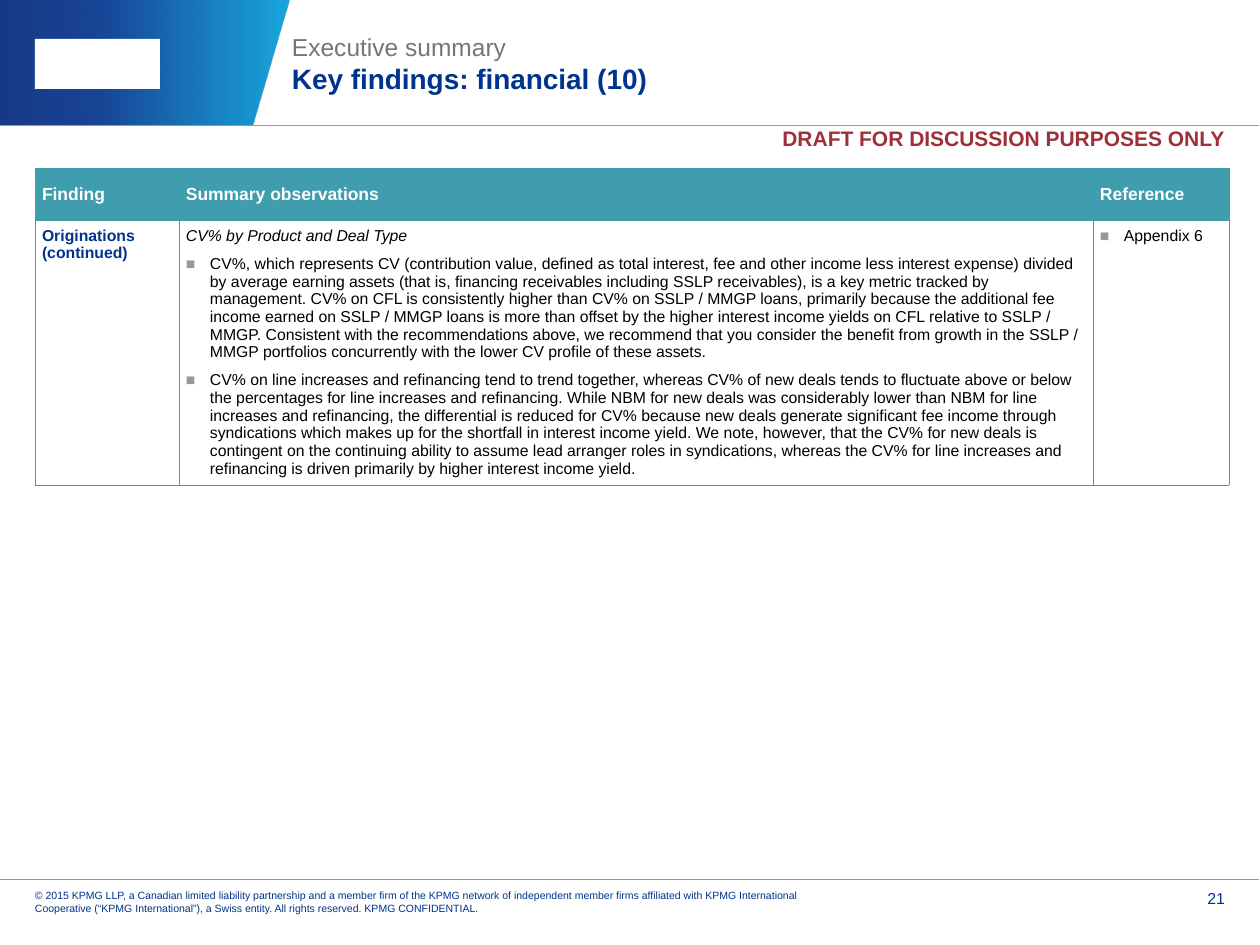
from dataclasses import dataclass

from lxml.etree import SubElement
from pptx import Presentation
from pptx.dml.color import RGBColor
from pptx.enum.shapes import MSO_CONNECTOR, MSO_SHAPE
from pptx.enum.text import MSO_ANCHOR, MSO_AUTO_SIZE, PP_ALIGN
from pptx.oxml import parse_xml
from pptx.oxml.ns import nsdecls, qn
from pptx.util import Emu, Pt

PX_PER_INCH = 126


def px(n):
    return Emu(round(n * 914400 / PX_PER_INCH))


@dataclass(frozen=True)
class Theme:
    font: str = "Arial"
    navy: str = "00338D"
    deep: str = "00257A"
    sky: str = "009FDA"
    teal: str = "409DAD"
    red: str = "9E3039"
    gray: str = "747678"
    rule: str = "97989A"
    white: str = "FFFFFF"
    black: str = "000000"
    heading: int = 16
    section: int = 14
    banner: int = 12
    header: int = 10
    body: int = 9
    small: int = 6


class SlideBuilder:
    """Draws elements on one slide, with lengths in px."""

    def __init__(self, slide, theme):
        self.s, self.t = slide, theme

    def run(self, p, text, size, color, **fmt):
        r = p.add_run()
        r.text = text
        values = {"name": self.t.font, "size": Pt(size), "bold": False, **fmt}
        for key, value in values.items():
            setattr(r.font, key, value)
        r.font.color.rgb = RGBColor.from_string(color)

    def frame(self, tf, anchor=MSO_ANCHOR.TOP, top=0, left=0):
        values = {"word_wrap": True, "auto_size": MSO_AUTO_SIZE.NONE,
                  "vertical_anchor": anchor, "margin_left": px(left),
                  "margin_top": px(top), "margin_right": 0, "margin_bottom": 0}
        for key, value in values.items():
            setattr(tf, key, value)

    def title(self, box, section, heading):
        sp = self.s.shapes.title
        sp.left, sp.top, sp.width, sp.height = map(px, box)
        self.frame(sp.text_frame, MSO_ANCHOR.BOTTOM)
        p = sp.text_frame.paragraphs[0]
        p.alignment = PP_ALIGN.LEFT
        self.run(p, section, self.t.section, self.t.gray)
        p.add_line_break()
        self.run(p, heading, self.t.heading, self.t.navy, bold=True)

    def text(self, box, text, size, color, top=10, align=PP_ALIGN.LEFT,
             spacing=None, **fmt):
        tf = self.s.shapes.add_textbox(*map(px, box)).text_frame
        self.frame(tf, top=top)
        p = tf.paragraphs[0]
        p.alignment, p.line_spacing = align, spacing
        self.run(p, text, size, color, **fmt)

    def rule(self, y, width=1259):
        line = self.s.shapes.add_connector(
            MSO_CONNECTOR.STRAIGHT, 0, px(y), px(width), px(y))
        line.line.width = Pt(0.5)
        line.line.color.rgb = RGBColor.from_string(self.t.rule)
        SubElement(line._element.spPr, qn("a:effectLst"))

    def gradient_panel(self, points, stops):
        start, *rest = [(px(x), px(y)) for x, y in points]
        builder = self.s.shapes.build_freeform(*start)
        builder.add_line_segments(rest, close=True)
        sp = builder.convert_to_shape()
        sp.shadow.inherit = False
        sp.line.fill.background()
        sp.fill.gradient()
        sp.fill.gradient_angle = 0
        gs_list = sp._element.spPr.find(".//" + qn("a:gsLst"))
        for gs in list(gs_list):
            gs_list.remove(gs)
        for percent, color in stops:
            gs_list.append(parse_xml(
                f'<a:gs {nsdecls("a")} pos="{percent * 1000}">'
                f'<a:srgbClr val="{color}"><a:alpha val="90000"/></a:srgbClr></a:gs>'))

    def block(self, box, color):
        sp = self.s.shapes.add_shape(MSO_SHAPE.RECTANGLE, *map(px, box))
        sp.shadow.inherit = False
        sp.fill.solid()
        sp.fill.fore_color.rgb = RGBColor.from_string(color)
        sp.line.fill.background()

    def bullet(self, p, indent=24):
        pPr = p._p.get_or_add_pPr()
        pPr.set("marL", str(px(indent)))
        pPr.set("indent", str(-px(indent)))
        color = SubElement(pPr, qn("a:buClr"))
        SubElement(color, qn("a:srgbClr"), val=self.t.rule)
        SubElement(pPr, qn("a:buFont"), typeface=self.t.font)
        SubElement(pPr, qn("a:buChar"), char="■")

    def cell(self, cell, paragraphs, fill, anchor):
        """Fill a cell from (text, bulleted, format) paragraphs."""
        cell.fill.solid()
        cell.fill.fore_color.rgb = RGBColor.from_string(fill)
        cell.vertical_anchor = anchor
        for side in ("left", "right", "top", "bottom"):
            setattr(cell, f"margin_{side}", px(7))
        tcPr = cell._tc.get_or_add_tcPr()
        for i, edge in enumerate("LRTB"):
            tcPr.insert(i, parse_xml(
                f'<a:ln{edge} {nsdecls("a")} w="{Pt(0.5)}"><a:solidFill>'
                f'<a:srgbClr val="{self.t.teal}"/></a:solidFill></a:ln{edge}>'))
        for i, (text, bulleted, fmt) in enumerate(paragraphs):
            p = cell.text_frame.add_paragraph() if i else cell.text_frame.paragraphs[0]
            if bulleted:
                self.bullet(p)
            if i:
                p.space_before = Pt(6)
            self.run(p, text, **fmt)

    def table(self, left, top, widths, heights, headers, rows):
        table = self.s.shapes.add_table(
            len(heights), len(widths), px(left), px(top),
            px(sum(widths)), px(sum(heights))).table
        table.horz_banding = False
        for column, width in zip(table.columns, widths):
            column.width = px(width)
        for row, height in zip(table.rows, heights):
            row.height = px(height)
        head = {"size": self.t.header, "color": self.t.white, "bold": True}
        for c, text in enumerate(headers):
            self.cell(table.cell(0, c), [(text, False, head)],
                      self.t.teal, MSO_ANCHOR.MIDDLE)
        for r, row in enumerate(rows, 1):
            for c, paragraphs in enumerate(row):
                self.cell(table.cell(r, c), paragraphs, self.t.white, MSO_ANCHOR.TOP)


COPYRIGHT = (
    "© 2015 KPMG LLP, a Canadian limited liability partnership and a member firm of "
    "the KPMG network of independent member firms affiliated with KPMG International "
    "Cooperative (“KPMG International”), a Swiss entity. All rights reserved. "
    "KPMG CONFIDENTIAL.")
CV_BY_PRODUCT = (
    "CV%, which represents CV (contribution value, defined as total interest, fee and "
    "other income less interest expense) divided by average earning assets (that is, "
    "financing receivables including SSLP receivables), is a key metric tracked by "
    "management. CV% on CFL is consistently higher than CV% on SSLP / MMGP loans, "
    "primarily because the additional fee income earned on SSLP / MMGP loans is more "
    "than offset by the higher interest income yields on CFL relative to SSLP / MMGP. "
    "Consistent with the recommendations above, we recommend that you consider the "
    "benefit from growth in the SSLP / MMGP portfolios concurrently with the lower CV "
    "profile of these assets.")
CV_BY_DEAL_TYPE = (
    "CV% on line increases and refinancing tend to trend together, whereas CV% of new "
    "deals tends to fluctuate above or below the percentages for line increases and "
    "refinancing. While NBM for new deals was considerably lower than NBM for line "
    "increases and refinancing, the differential is reduced for CV% because new deals "
    "generate significant fee income through syndications which makes up for the "
    "shortfall in interest income yield. We note, however, that the CV% for new deals "
    "is contingent on the continuing ability to assume lead arranger roles in "
    "syndications, whereas the CV% for line increases and refinancing is driven "
    "primarily by higher interest income yield.")


def main():
    prs = Presentation()
    prs.slide_width, prs.slide_height = px(1260), px(945)
    t = Theme()
    s = SlideBuilder(prs.slides.add_slide(prs.slide_layouts[5]), t)

    s.gradient_panel([(0, 0), (0, 125), (253, 125), (290, 0)],
                     [(0, t.deep), (35, t.navy), (100, t.sky)])
    s.block((35, 39, 125, 50), t.white)
    s.title((292, 16, 932, 79), "Executive summary", "Key findings: financial (10)")
    s.text((769, 125, 456, 40), "DRAFT FOR DISCUSSION PURPOSES ONLY", t.banner, t.red,
           top=5, align=PP_ALIGN.RIGHT, spacing=0.8, bold=True)
    s.text((35, 879, 794, 35), COPYRIGHT, t.small, t.navy)
    s.text((1155, 879, 70, 39), "21", t.body, t.navy, align=PP_ALIGN.RIGHT)
    for y in (125, 879):
        s.rule(y)

    body = {"size": t.body, "color": t.black}
    finding = [("Originations (continued)", False,
                {"size": t.body, "color": t.navy, "bold": True})]
    observations = [("CV% by Product and Deal Type", False, {**body, "italic": True}),
                    (CV_BY_PRODUCT, True, body),
                    (CV_BY_DEAL_TYPE, True, body)]
    reference = [("Appendix 6", True, body)]
    s.table(35, 168, (144, 914, 136), (52, 265),
            ("Finding", "Summary observations", "Reference"),
            [(finding, observations, reference)])
    prs.save("out.pptx")


if __name__ == "__main__":
    main()
